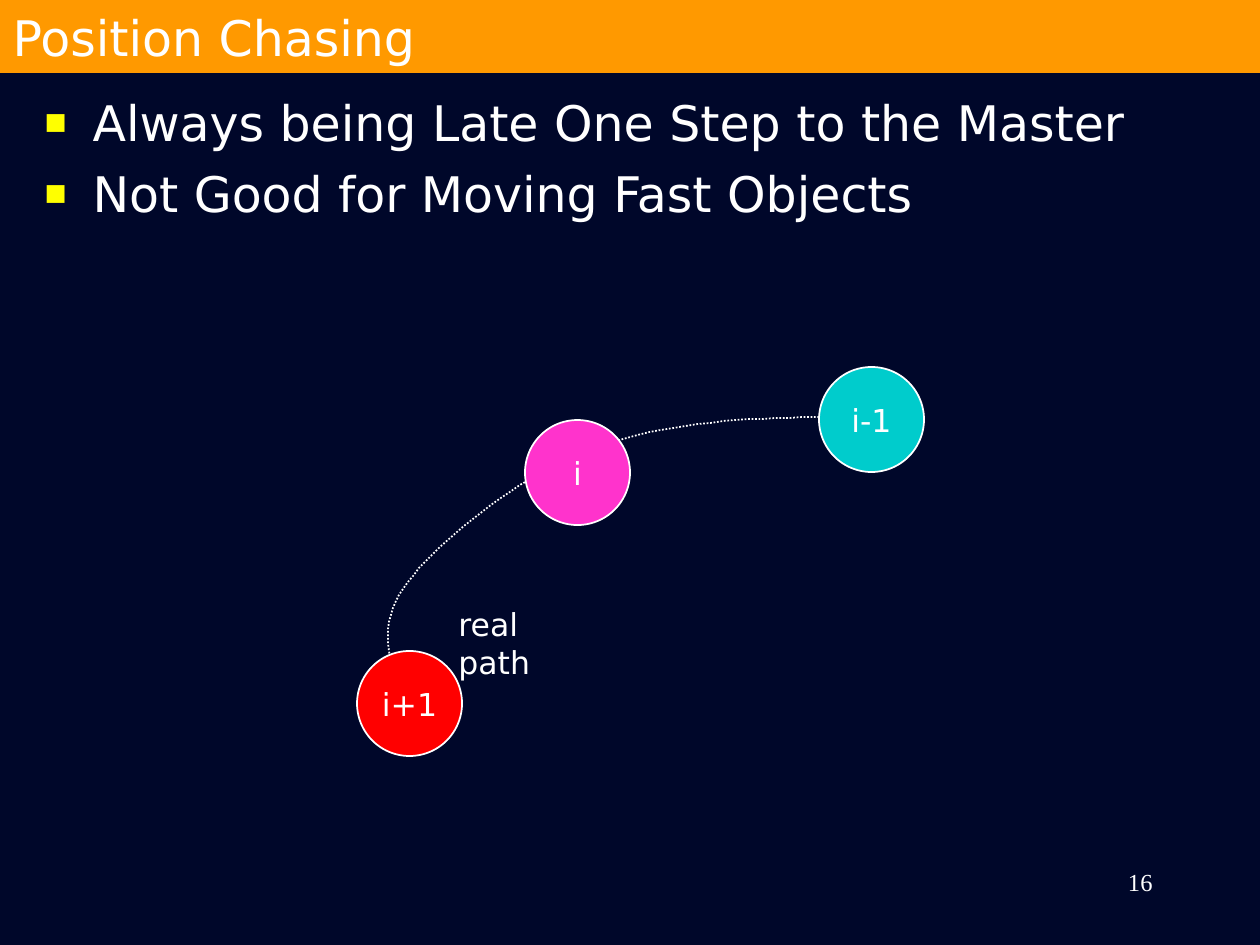
from lxml.etree import SubElement
from pptx import Presentation
from pptx.dml.color import RGBColor
from pptx.enum.dml import MSO_LINE
from pptx.enum.shapes import MSO_SHAPE
from pptx.enum.text import MSO_ANCHOR, MSO_AUTO_SIZE, PP_ALIGN
from pptx.oxml.ns import qn
from pptx.util import Pt

SCALE = 914400 // 126
SANS = "DejaVu Sans"
SERIF = "Times New Roman"
NAVY = RGBColor(0x00, 0x07, 0x2A)
ORANGE = RGBColor(0xFF, 0x99, 0x00)
WHITE = RGBColor(0xFF, 0xFF, 0xFF)
YELLOW = RGBColor(0xFF, 0xFF, 0x00)
CYAN = RGBColor(0x00, 0xCC, 0xCC)
PINK = RGBColor(0xFF, 0x33, 0xCC)
RED = RGBColor(0xFF, 0x00, 0x00)

BULLETS = ["Always being Late One Step to the Master",
           "Not Good for Moving Fast Objects"]
DIAMETER = 105
STEPS = [("i-1", 819, 367, CYAN), ("i", 525, 420, PINK), ("i+1", 357, 651, RED)]
PATH_START = (913, 417)
PATH_CURVES = [((803, 416), (690, 415), (605, 445)),
               ((519, 474), (431, 544), (399, 595)),
               ((368, 645), (412, 721), (415, 746))]


def px(length):
    """Turn whole pixels into EMU."""
    return length * SCALE


def place(shape, left, top, width, height):
    """Move and size a shape, in pixels."""
    shape.left, shape.top = px(left), px(top)
    shape.width, shape.height = px(width), px(height)


def write(shape, *lines, size=18, font=SANS, align=PP_ALIGN.LEFT,
          anchor=MSO_ANCHOR.TOP, wrap=True, before=0):
    """Fill a shape with one white paragraph per line."""
    frame = shape.text_frame
    frame.auto_size = MSO_AUTO_SIZE.NONE
    frame.word_wrap = wrap
    frame.vertical_anchor = anchor
    for index, line in enumerate(lines):
        para = frame.add_paragraph() if index else frame.paragraphs[0]
        para.alignment = align
        para.space_before = Pt(before)
        span = para.add_run()
        span.text = line
        span.font.size = Pt(size)
        span.font.name = font
        span.font.color.rgb = WHITE


def add_text(page, text, left, top, width, height, **style):
    """Add a text box."""
    box = page.shapes.add_textbox(px(left), px(top), px(width), px(height))
    write(box, text, **style)


def add_square_bullets(shape):
    """Give every paragraph a yellow square and a hanging indent."""
    for para in shape.text_frame.paragraphs:
        props = para._p.get_or_add_pPr()
        props.set("marL", str(px(48)))
        props.set("indent", str(px(-48)))
        color = SubElement(props, qn("a:buClr"))
        SubElement(color, qn("a:srgbClr"), val=str(YELLOW))
        SubElement(props, qn("a:buSzPct"), val="75000")
        SubElement(props, qn("a:buChar"), char="■")


def curve_points(start, curves, pieces=24):
    """Yield points along a chain of cubic curves."""
    for first, second, end in curves:
        for piece in range(1, pieces + 1):
            t = piece / pieces
            weights = ((1 - t) ** 3, 3 * t * (1 - t) ** 2,
                       3 * t ** 2 * (1 - t), t ** 3)
            corners = (start, first, second, end)
            yield tuple(sum(w * corner[axis] for w, corner in zip(weights, corners))
                        for axis in (0, 1))
        start = end


def add_path(page):
    """Draw the dotted path with an arrowhead at its end."""
    builder = page.shapes.build_freeform(*PATH_START, scale=SCALE)
    builder.add_line_segments(list(curve_points(PATH_START, PATH_CURVES)), close=False)
    path = builder.convert_to_shape()
    path.shadow.inherit = False
    path.fill.background()
    path.line.color.rgb = WHITE
    path.line.width = Pt(1)
    path.line.dash_style = MSO_LINE.ROUND_DOT
    SubElement(path.line._get_or_add_ln(), qn("a:tailEnd"), type="arrow")


def add_step(page, label, left, top, color):
    """Draw one labelled circle."""
    circle = page.shapes.add_shape(MSO_SHAPE.OVAL, px(left), px(top),
                                   px(DIAMETER), px(DIAMETER))
    circle.shadow.inherit = False
    circle.fill.solid()
    circle.fill.fore_color.rgb = color
    circle.line.color.rgb = WHITE
    circle.line.width = Pt(1)
    write(circle, label, align=PP_ALIGN.CENTER, anchor=MSO_ANCHOR.MIDDLE, wrap=False)


def main():
    """Build the slide and save it."""
    deck = Presentation()
    deck.slide_width, deck.slide_height = px(1260), px(945)
    page = deck.slides.add_slide(deck.slide_layouts[1])
    page.background.fill.solid()
    page.background.fill.fore_color.rgb = NAVY

    title, body = page.placeholders
    place(title, 0, 0, 1260, 73)
    title.fill.solid()
    title.fill.fore_color.rgb = ORANGE
    write(title, "Position Chasing", size=28, anchor=MSO_ANCHOR.MIDDLE)
    place(body, 32, 84, 1197, 147)
    write(body, *BULLETS, size=28, before=7, anchor=MSO_ANCHOR.MIDDLE)
    add_square_bullets(body)

    add_path(page)
    for step in STEPS:
        add_step(page, *step)
    add_text(page, "real path", 446, 599, 157, 50)
    add_text(page, "16", 903, 861, 262, 63, size=14, font=SERIF,
             align=PP_ALIGN.RIGHT, before=8.8)
    deck.save("out.pptx")


main()
